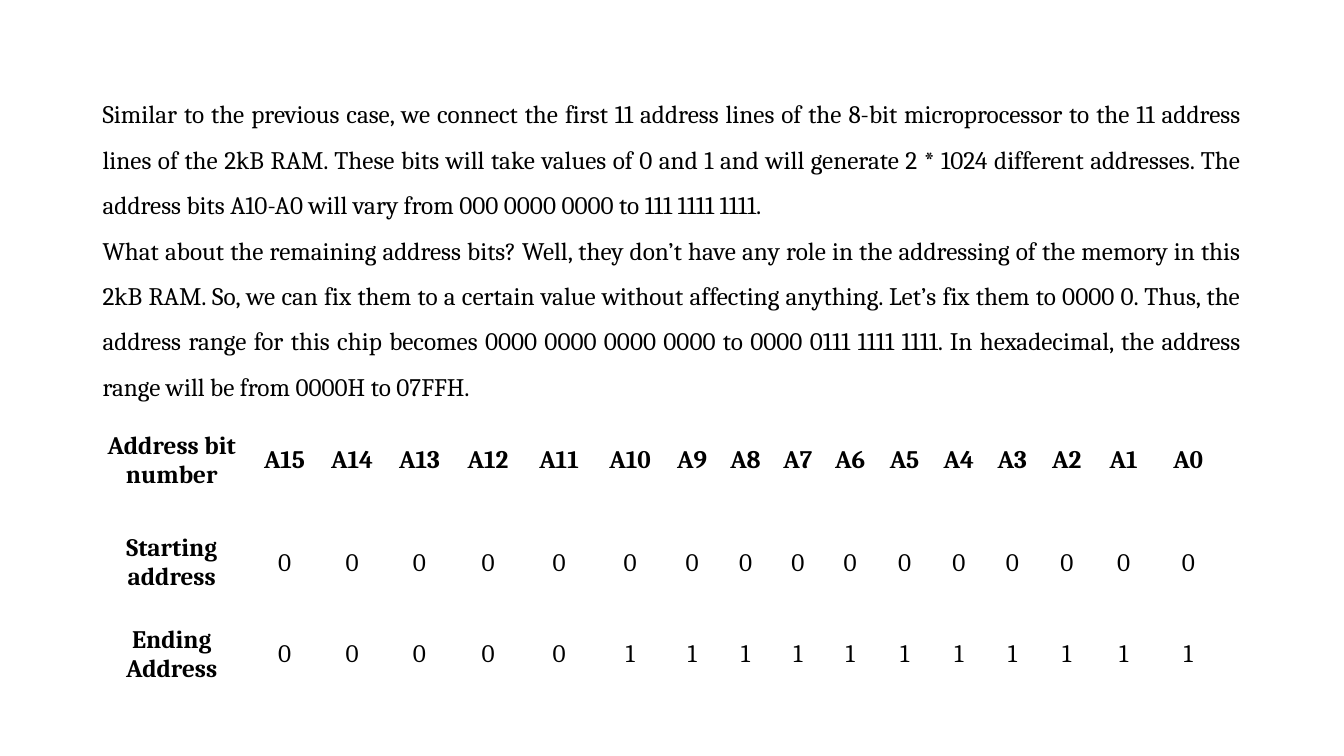
from dataclasses import dataclass

from pptx import Presentation
from pptx.dml.color import RGBColor
from pptx.enum.text import MSO_ANCHOR as Anchor, MSO_AUTO_SIZE as AutoSize, PP_ALIGN as Align
from pptx.util import Pt


@dataclass(frozen=True)
class Theme:
    font: str = "Cambria"
    size: float = 18
    ink: RGBColor = RGBColor(0, 0, 0)


THEME = Theme()
LEFT = 66.2

EXPLANATION = (
    "Similar to the previous case, we connect the first 11 address lines of the 8-bit "
    "microprocessor to the 11 address lines of the 2kB RAM. These bits will take values "
    "of 0 and 1 and will generate 2 * 1024 different addresses. The address bits A10-A0 "
    "will vary from 000 0000 0000 to 111 1111 1111.",
    "What about the remaining address bits? Well, they don’t have any role in the "
    "addressing of the memory in this 2kB RAM. So, we can fix them to a certain value "
    "without affecting anything. Let’s fix them to 0000 0. Thus, the address range for "
    "this chip becomes 0000 0000 0000 0000 to 0000 0111 1111 1111. In hexadecimal, the "
    "address range will be from 0000H to 07FFH.",
)

ADDRESS_ROWS = (
    ("Address bit number", *(f"A{bit}" for bit in range(15, -1, -1))),
    ("Starting address", *f"{0x0000:016b}"),
    ("Ending Address", *f"{0x07FF:016b}"),
)
COLUMN_WIDTHS = (113, 48.2, 48.2, 48.2, 49.7, 51.8, 49.7, 38.9, 37.4,
                 37.4, 37.4, 40.3, 37.4, 38.9, 38.9, 42.5, 49.7)
ROW_HEIGHTS = (80.6, 65.5, 65.5)


def set_attributes(target, values):
    for name, value in values.items():
        setattr(target, name, value)


def write_paragraph(paragraph, text, align, bold=False):
    paragraph.alignment = align
    run = paragraph.add_run()
    run.text = text
    set_attributes(run.font, {"name": THEME.font, "size": Pt(THEME.size), "bold": bold})
    run.font.color.rgb = THEME.ink


def add_explanation(slide, left, top, width, height):
    box = slide.shapes.add_textbox(Pt(left), Pt(top), Pt(width), Pt(height))
    frame = box.text_frame
    set_attributes(frame, {"word_wrap": True, "auto_size": AutoSize.SHAPE_TO_FIT_TEXT})
    for index, text in enumerate(EXPLANATION):
        paragraph = frame.add_paragraph() if index else frame.paragraphs[0]
        paragraph.line_spacing = 1.5
        write_paragraph(paragraph, text, Align.JUSTIFY)


def add_address_table(slide, left, top):
    table = slide.shapes.add_table(
        len(ROW_HEIGHTS), len(COLUMN_WIDTHS), Pt(left), Pt(top),
        Pt(sum(COLUMN_WIDTHS)), Pt(sum(ROW_HEIGHTS))).table
    set_attributes(table, {"first_row": False, "horz_banding": False})
    for column, width in zip(table.columns, COLUMN_WIDTHS):
        column.width = Pt(width)
    for row, height in zip(table.rows, ROW_HEIGHTS):
        row.height = Pt(height)
    cell_format = {"vertical_anchor": Anchor.MIDDLE,
                   "margin_left": Pt(4), "margin_right": Pt(4)}
    for row_index, labels in enumerate(ADDRESS_ROWS):
        for column_index, label in enumerate(labels):
            cell = table.cell(row_index, column_index)
            set_attributes(cell, cell_format)
            cell.fill.background()
            is_heading = row_index == 0 or column_index == 0
            write_paragraph(cell.text_frame.paragraphs[0], label, Align.CENTER, is_heading)


def main():
    presentation = Presentation()
    set_attributes(presentation, {"slide_width": Pt(960), "slide_height": Pt(540)})
    slide = presentation.slides.add_slide(presentation.slide_layouts[6])
    add_explanation(slide, LEFT, 56.2, 827.3, 232.6)
    add_address_table(slide, LEFT, 288.7)
    presentation.save("out.pptx")


if __name__ == "__main__":
    main()
